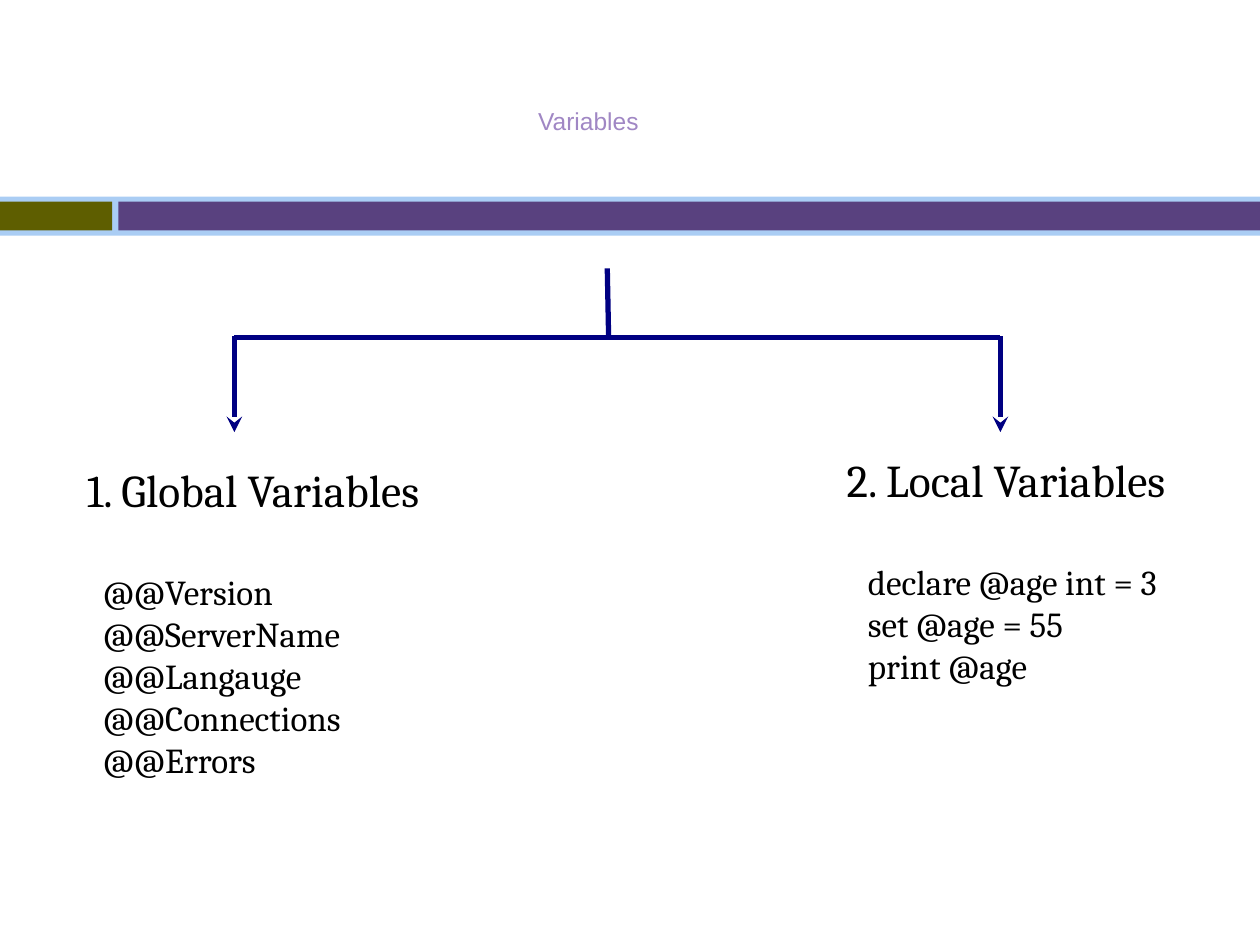
from lxml.etree import SubElement
from pptx import Presentation
from pptx.dml.color import RGBColor
from pptx.enum.shapes import MSO_CONNECTOR, MSO_SHAPE
from pptx.enum.text import MSO_ANCHOR, MSO_AUTO_SIZE, PP_ALIGN
from pptx.oxml.ns import qn
from pptx.util import Inches, Pt

COLORS = {
    "band": "AACDF4",
    "olive": "5E5E00",
    "purple": "59417F",
    "title": "A087C4",
    "line": "000082",
    "text": "000000",
}


def color(name):
    return RGBColor.from_string(COLORS[name])


def add_bar(s, x, y, w, h, fill):
    sp = s.shapes.add_shape(MSO_SHAPE.RECTANGLE, Inches(x), Inches(y), Inches(w), Inches(h))
    sp.shadow.inherit = False
    sp.fill.solid()
    sp.fill.fore_color.rgb = color(fill)
    sp.line.fill.background()


def add_line(s, x1, y1, x2, y2, arrow=False):
    c = s.shapes.add_connector(
        MSO_CONNECTOR.STRAIGHT, Inches(x1), Inches(y1), Inches(x2), Inches(y2)
    )
    c.line.color.rgb = color("line")
    c.line.width = Pt(3)
    if arrow:
        SubElement(c.line._get_or_add_ln(), qn("a:tailEnd"), type="stealth")
    SubElement(c._element.spPr, qn("a:effectLst"))


def style(p, size, font, name):
    p.font.size = Pt(size)
    p.font.name = font
    p.font.color.rgb = color(name)


def add_title(s, text):
    tf = s.shapes.add_textbox(Inches(3.26), Inches(0.7), Inches(2.82), Inches(0.51)).text_frame
    tf.word_wrap = False
    tf.vertical_anchor = MSO_ANCHOR.MIDDLE
    p = tf.paragraphs[0]
    p.text = text
    p.alignment = PP_ALIGN.CENTER
    style(p, 14, "Arial", "title")


def add_variables(s, x, y, w, h, heading, items):
    tf = s.shapes.add_textbox(Inches(x), Inches(y), Inches(w), Inches(h)).text_frame
    tf.word_wrap = True
    tf.auto_size = MSO_AUTO_SIZE.SHAPE_TO_FIT_TEXT
    tf.margin_left = tf.margin_right = tf.margin_top = tf.margin_bottom = Inches(0.1)
    p = tf.paragraphs[0]
    p.text = heading
    p.alignment = PP_ALIGN.CENTER
    style(p, 26, "Cambria", "text")
    for i, item in enumerate(items):
        p = tf.add_paragraph()
        p.text = item
        p._p.get_or_add_pPr().set("marL", str(Inches(0.5)))
        if i == 0:
            p.space_before = Pt(30.5)
        style(p, 20, "Cambria", "text")


def main():
    prs = Presentation()
    prs.slide_width, prs.slide_height = Inches(10), Inches(7.5)
    s = prs.slides.add_slide(prs.slide_layouts[6])

    add_bar(s, 0, 1.56, 10, 0.31, "band")
    add_bar(s, 0, 1.6, 0.89, 0.23, "olive")
    add_bar(s, 0.94, 1.6, 9.06, 0.23, "purple")
    add_title(s, "Variables")

    left, right = 1.86, 7.94
    add_line(s, 4.82, 2.13, 4.83, 2.66)
    add_line(s, left, 2.68, right, 2.68)
    for x in (left, right):
        add_line(s, x, 2.67, x, 3.43, arrow=True)

    add_variables(
        s, 0.22, 3.57, 3.58, 3.17, "1. Global Variables",
        ["@@Version", "@@ServerName", "@@Langauge", "@@Connections", "@@Errors"],
    )
    add_variables(
        s, 6.29, 3.49, 3.39, 2.07, "2. Local Variables",
        ["declare @age int = 3", "set @age = 55", "print @age"],
    )
    prs.save("out.pptx")


if __name__ == "__main__":
    main()
